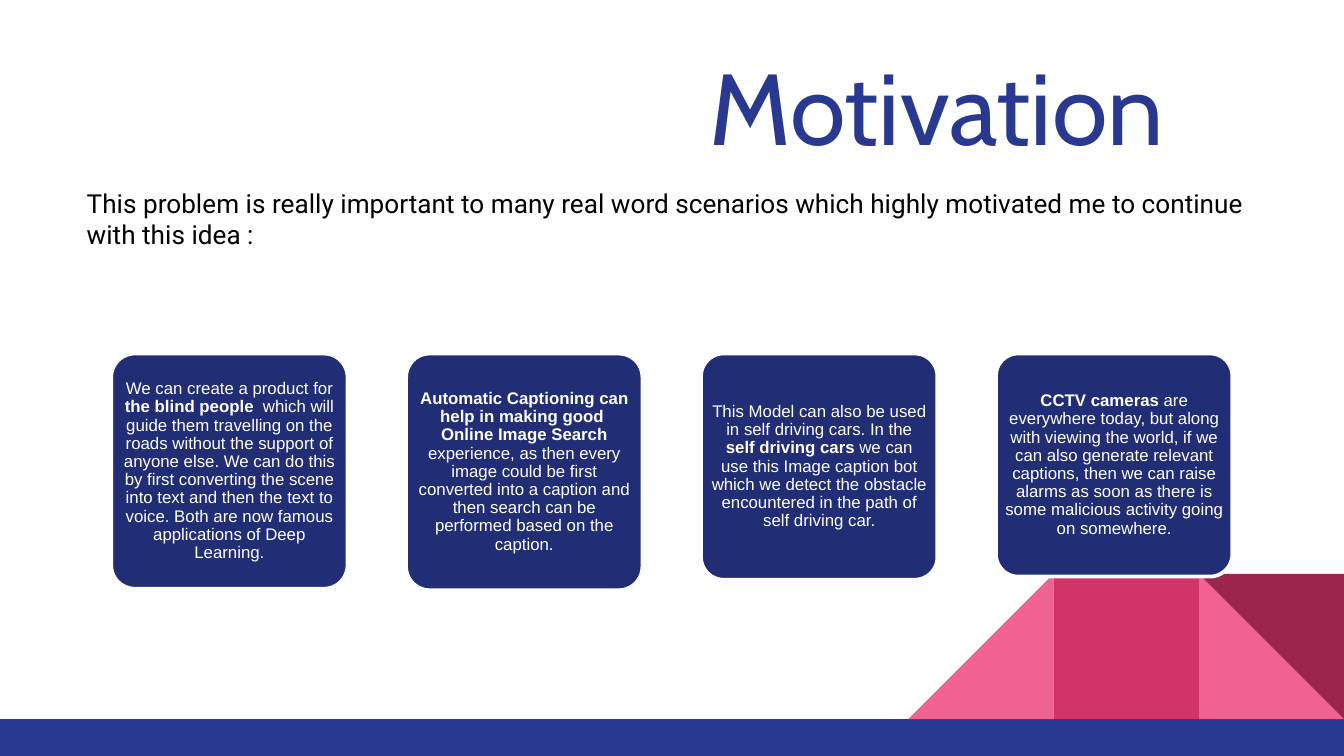
from pptx import Presentation
from pptx.dml.color import RGBColor
from pptx.enum.shapes import MSO_SHAPE
from pptx.enum.text import MSO_ANCHOR, PP_ALIGN
from pptx.util import Pt

RECT = MSO_SHAPE.RECTANGLE
ROUND = MSO_SHAPE.ROUNDED_RECTANGLE
WEDGE = MSO_SHAPE.RIGHT_TRIANGLE
LEFT, MID = PP_ALIGN.LEFT, PP_ALIGN.CENTER
TOP, CENTER = MSO_ANCHOR.TOP, MSO_ANCHOR.MIDDLE

WIDE, HIGH = 720, 405
COLORS = {
    "blue": "2A3990", "navy": "212D74", "white": "FFFFFF", "black": "000000",
    "pink": "F06292", "rose": "D23369", "wine": "9C254D",
}
TITLE = {"size": Pt(54), "name": "Cabin"}
INTRO = {"size": Pt(14), "name": "Roboto"}
BODY = {"size": Pt(9), "name": "Arial"}

# Each card: its height, then its runs as (text, bold)
CARDS = [
    (126, [
        ("We can create a product for ", False),
        ("the blind people", True),
        ("  which will guide them travelling on the roads without the "
         "support of anyone else. We can do this by first converting the scene "
         "into text and then the text to voice. Both are now famous "
         "applications of Deep Learning.", False)]),
    (126.8, [
        ("Automatic Captioning can help in making good  Online Image Search",
         True),
        (" experience, as then every image could be first converted into a "
         "caption and then search can be performed based on the caption.",
         False)]),
    (121.2, [
        ("This Model can also be used in self driving cars. In the ", False),
        ("self driving cars ", True),
        ("we can use this Image caption bot which we detect the obstacle "
         "encountered in the path of self driving car.", False)]),
    (119.5, [
        ("CCTV cameras ", True),
        ("are everywhere today, but along with viewing the world, if we can "
         "also generate relevant captions, then we can raise alarms as soon "
         "as there is some malicious activity going on somewhere.", False)]),
]


def color(name):
    return RGBColor.from_string(COLORS[name])


def add_shape(slide, kind, box, fill, turn=0):
    shape = slide.shapes.add_shape(kind, *map(Pt, box))
    shape.shadow.inherit = False
    shape.fill.solid()
    shape.fill.fore_color.rgb = color(fill)
    shape.line.fill.background()
    shape.rotation = turn
    return shape


def write(shape, runs, font, ink, align, anchor, pad, wrap=True):
    """Fill the shape with one paragraph; pad is (sides, top and bottom)."""
    frame = shape.text_frame
    side, edge = map(Pt, pad)
    layout = {
        "word_wrap": wrap, "vertical_anchor": anchor,
        "margin_left": side, "margin_right": side,
        "margin_top": edge, "margin_bottom": edge,
    }
    for key, value in layout.items():
        setattr(frame, key, value)
    para = frame.paragraphs[0]
    para.alignment = align
    for text, bold in runs:
        run = para.add_run()
        run.text = text
        for key, value in {**font, "bold": bold}.items():
            setattr(run.font, key, value)
        run.font.color.rgb = color(ink)
    return para


def add_decor(slide, box):
    """Bottom bar with a row of square tiles standing on its right end."""
    left, top, width, height = box
    add_shape(slide, RECT, box, "blue")
    side = 77.8
    tiles = [(WEDGE, 2, "pink", 0), (WEDGE, 0, "pink", 270),
             (RECT, 1, "rose", 0), (WEDGE, 2, "wine", 180)]
    for kind, col, fill, turn in tiles:
        x = left + width - (3 - col) * side
        add_shape(slide, kind, (x, top - side, side, side), fill, turn)


def add_head(slide, box):
    area = slide.shapes.add_textbox(*map(Pt, box))
    write(area, [("Motivation", False)], TITLE, "blue", MID, TOP,
          (7.2, 3.6), wrap=False)


def add_intro(slide, box):
    area = slide.shapes.add_textbox(*map(Pt, box))
    text = ("This problem is really important to many real word scenarios "
            "which highly motivated me to continue with this idea :")
    write(area, [(text, False)], INTRO, "black", LEFT, TOP, (7.2, 7.2))


def add_card(slide, box, runs):
    card = add_shape(slide, ROUND, box, "navy")
    card.adjustments[0] = 0.1
    card.line.color.rgb = color("white")
    card.line.width = Pt(2)
    para = write(card, runs, BODY, "white", MID, CENTER, (1.44, 0.72))
    para.line_spacing = 0.9


def add_cards(slide, box):
    left, top, width = box
    wide = 126.6
    step = (width - wide) / (len(CARDS) - 1)
    for i, (height, runs) in enumerate(CARDS):
        add_card(slide, (left + i * step, top, wide, height), runs)


def main():
    deck = Presentation()
    deck.slide_width, deck.slide_height = Pt(WIDE), Pt(HIGH)
    slide = deck.slides.add_slide(deck.slide_layouts[6])
    add_decor(slide, (0, 385.2, WIDE, HIGH - 385.2))
    add_intro(slide, (39.4, 93, 641.6, 47.5))
    add_head(slide, (370, 20.2, 263.6, 72.8))
    add_cards(slide, (59.6, 189.4, 600.6))
    deck.save("out.pptx")


if __name__ == "__main__":
    main()
